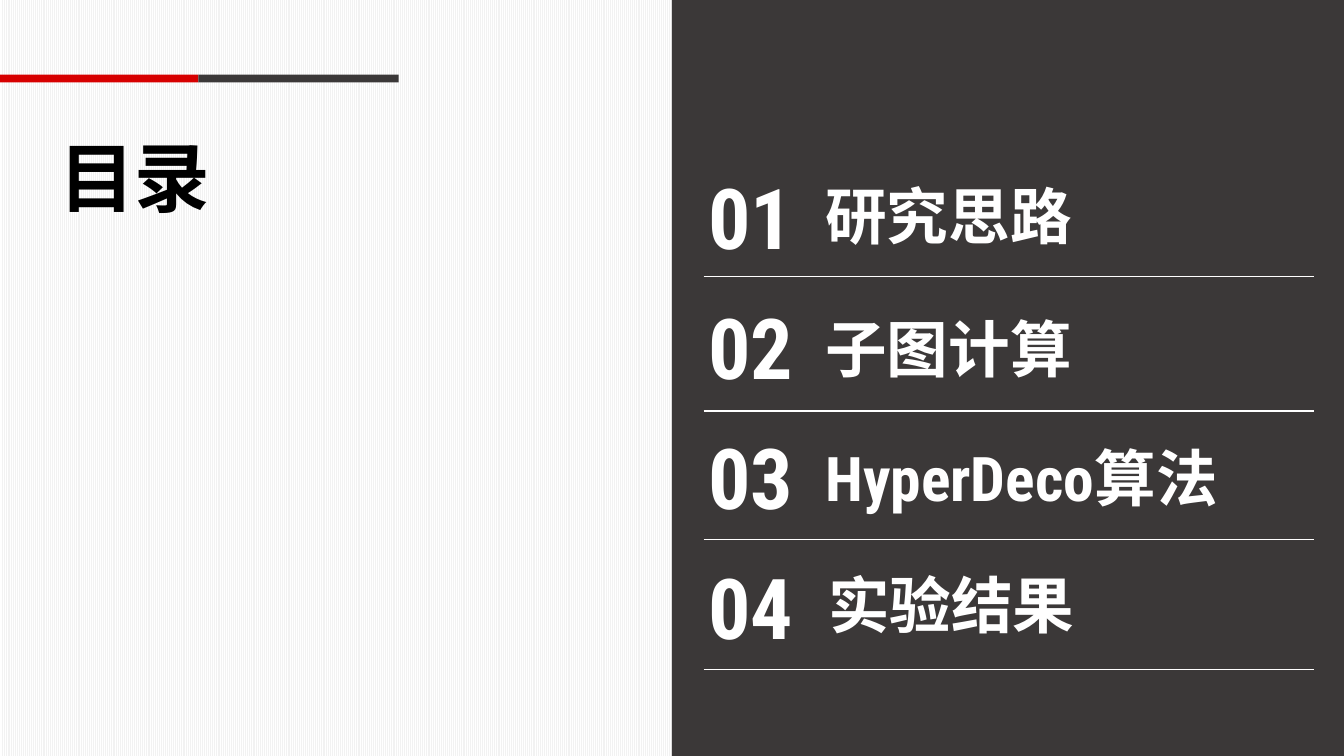
from pptx import Presentation
from pptx.dml.color import RGBColor
from pptx.enum.dml import MSO_PATTERN as Pattern
from pptx.enum.lang import MSO_LANGUAGE_ID as Lang
from pptx.enum.shapes import MSO_CONNECTOR as Link, MSO_SHAPE as Shape
from pptx.enum.text import MSO_ANCHOR as Anchor, MSO_AUTO_SIZE as Fit, PP_ALIGN as Align
from pptx.oxml.ns import qn
from pptx.util import Cm, Pt

COLORS = {
    "paper": "FFFFFF",
    "stripe": "F2F2F2",
    "dark": "3B3838",
    "red": "D70000",
    "ink": "000000",
    "white": "FFFFFF",
}
ROBOTO = "Roboto Condensed"
PITCH = 3.28
ITEMS = [
    ("研究思路", ROBOTO, 3.62, 0.33, 2.92),
    ("子图计算", "Arial", 3.62, 0.38, 3.04),
    ("HyperDeco算法", ROBOTO, 3.62, 0.35, 2.99),
    ("实验结果", ROBOTO, 3.69, 0.27, 2.99),
]


def tint(name):
    return RGBColor.from_string(COLORS[name])


def block(slide, box, color):
    rect = slide.shapes.add_shape(Shape.RECTANGLE, *map(Cm, box))
    rect.shadow.inherit = False
    rect.fill.solid()
    rect.fill.fore_color.rgb = tint(color)
    rect.line.fill.background()


def rule(slide, left, top, width):
    line = slide.shapes.add_connector(
        Link.STRAIGHT, Cm(left), Cm(top), Cm(left + width), Cm(top))
    line.line.color.rgb = tint("white")
    line.line.width = Pt(1)
    props = line._element.spPr
    props.append(props.makeelement(qn("a:effectLst"), {}))


def write(shape, text, size, face, color, align=Align.LEFT):
    frame = shape.text_frame
    frame.text = text
    look = {"word_wrap": True, "auto_size": Fit.NONE, "vertical_anchor": Anchor.TOP}
    for key, value in look.items():
        setattr(frame, key, value)
    para = frame.paragraphs[0]
    para.alignment = align
    font = para.runs[0].font
    style = {"size": Pt(size), "name": face, "bold": True,
             "language_id": Lang.SIMPLIFIED_CHINESE}
    for key, value in style.items():
        setattr(font, key, value)
    font.color.rgb = tint(color)


def label(slide, box, *style):
    write(slide.shapes.add_textbox(*map(Cm, box)), *style)


def header(slide, left, top):
    width = 5.05
    for i, color in enumerate(("red", "dark")):
        block(slide, (left + i * width, top, width, 0.2), color)
    title = slide.shapes.title
    place = {"left": left + 1.29, "top": top + 1.3, "width": 7.06, "height": 2.57}
    for key, value in place.items():
        setattr(title, key, Cm(value))
    write(title, "目录", 54, "Arial Narrow", "ink")


def entry(slide, left, top, number, item):
    text, face, inset, drop, base = item
    label(slide, (left + 0.65, top, 2.67, 2.82),
          f"{number:02}", 60, ROBOTO, "white", Align.CENTER)
    label(slide, (left + inset, top + drop, 13.1, 2.13), text, 44, face, "white")
    rule(slide, left + 0.8, top + base, 15.39)


def agenda(slide, left, top, width, height):
    block(slide, (left, top, width, height), "dark")
    for i, item in enumerate(ITEMS):
        entry(slide, left, top + 4.04 + i * PITCH, i + 1, item)


def main():
    deck = Presentation()
    deck.slide_width, deck.slide_height = Cm(33.87), Cm(19.05)
    slide = deck.slides.add_slide(deck.slide_layouts[5])
    fill = slide.background.fill
    fill.patterned()
    fill.pattern = Pattern.NARROW_VERTICAL
    fill.fore_color.rgb = tint("stripe")
    fill.back_color.rgb = tint("paper")
    header(slide, -0.05, 1.88)
    agenda(slide, 16.93, 0, 16.94, 19.05)
    deck.save("out.pptx")


if __name__ == "__main__":
    main()
